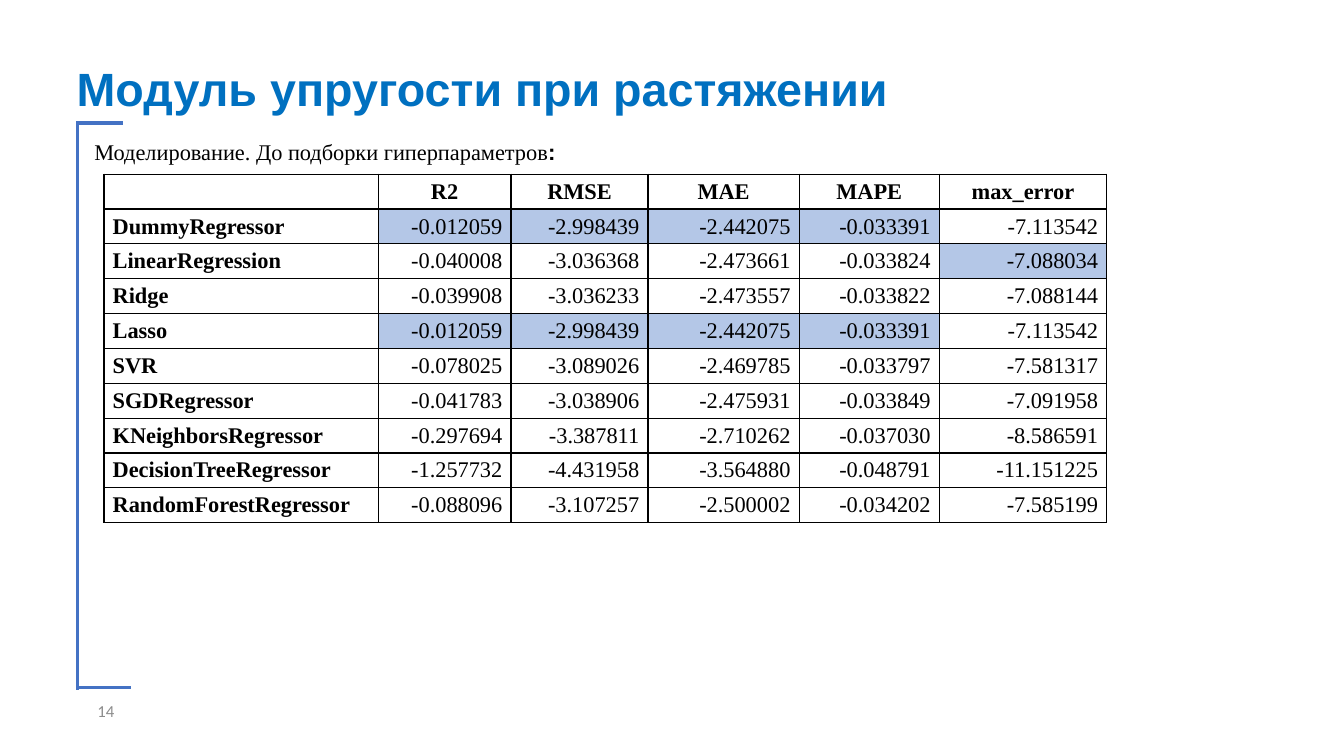
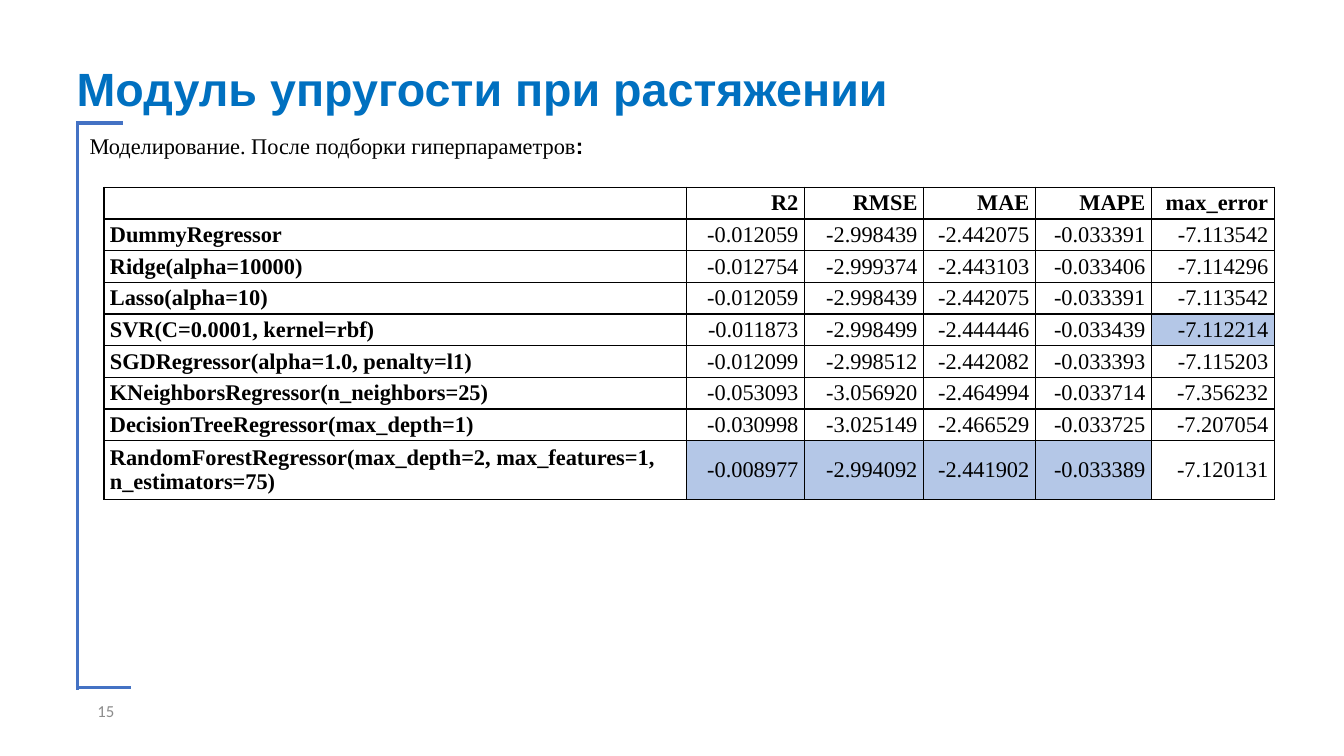
from dataclasses import dataclass

from lxml.etree import SubElement
from pptx import Presentation
from pptx.dml.color import RGBColor as Rgb
from pptx.enum.shapes import MSO_CONNECTOR as Connector
from pptx.enum.text import MSO_ANCHOR as Anchor, MSO_AUTO_SIZE as AutoSize, PP_ALIGN as Align
from pptx.oxml.ns import qn
from pptx.util import Cm, Pt


@dataclass(frozen=True)
class Theme:
    title_color: Rgb = Rgb(0x00, 0x70, 0xC0)
    text_color: Rgb = Rgb(0x00, 0x00, 0x00)
    number_color: Rgb = Rgb(0x8C, 0x8C, 0x8C)
    bracket_color: Rgb = Rgb(0x44, 0x72, 0xC4)
    cell_color: Rgb = Rgb(0xFF, 0xFF, 0xFF)
    best_color: Rgb = Rgb(0xB4, 0xC7, 0xE7)
    title_size: float = 33.3
    text_size: float = 16
    number_size: float = 12
    bracket_width: float = 2.25
    border_width: float = 1
    title_font: str = "Arial"
    text_font: str = "Times New Roman"
    number_font: str = "Calibri"


@dataclass(frozen=True)
class Box:
    """A region of the slide in centimetres."""
    left: float
    top: float
    width: float
    height: float

    def place(self, shape):
        shape.left, shape.top = Cm(self.left), Cm(self.top)
        shape.width, shape.height = Cm(self.width), Cm(self.height)


@dataclass(frozen=True)
class TableStyle:
    columns: tuple
    row_height: float
    margins: tuple
    header_align: Align


THEME = Theme()
TITLE = "Модуль упругости при растяжении"
TITLE_BOX = Box(1.73, 1.32, 21.92, 1.73)
BRACKET_BOX = Box(1.96, 3.05, 1.35, 14.35)
NUMBER_BOX = Box(1.45, 17.4, 1.68, 1.02)
METRICS = ("", "R2", "RMSE", "MAE", "MAPE", "max_error")

BEFORE_TUNING = (
    ("DummyRegressor", "-0.012059", "-2.998439", "-2.442075", "-0.033391", "-7.113542"),
    ("LinearRegression", "-0.040008", "-3.036368", "-2.473661", "-0.033824", "-7.088034"),
    ("Ridge", "-0.039908", "-3.036233", "-2.473557", "-0.033822", "-7.088144"),
    ("Lasso", "-0.012059", "-2.998439", "-2.442075", "-0.033391", "-7.113542"),
    ("SVR", "-0.078025", "-3.089026", "-2.469785", "-0.033797", "-7.581317"),
    ("SGDRegressor", "-0.041783", "-3.038906", "-2.475931", "-0.033849", "-7.091958"),
    ("KNeighborsRegressor", "-0.297694", "-3.387811", "-2.710262", "-0.037030", "-8.586591"),
    ("DecisionTreeRegressor", "-1.257732", "-4.431958", "-3.564880", "-0.048791", "-11.151225"),
    ("RandomForestRegressor", "-0.088096", "-3.107257", "-2.500002", "-0.034202", "-7.585199"),
)
AFTER_TUNING = (
    ("DummyRegressor", "-0.012059", "-2.998439", "-2.442075", "-0.033391", "-7.113542"),
    ("Ridge(alpha=10000)", "-0.012754", "-2.999374", "-2.443103", "-0.033406", "-7.114296"),
    ("Lasso(alpha=10)", "-0.012059", "-2.998439", "-2.442075", "-0.033391", "-7.113542"),
    ("SVR(C=0.0001, kernel=rbf)",
     "-0.011873", "-2.998499", "-2.444446", "-0.033439", "-7.112214"),
    ("SGDRegressor(alpha=1.0, penalty=l1)",
     "-0.012099", "-2.998512", "-2.442082", "-0.033393", "-7.115203"),
    ("KNeighborsRegressor(n_neighbors=25)",
     "-0.053093", "-3.056920", "-2.464994", "-0.033714", "-7.356232"),
    ("DecisionTreeRegressor(max_depth=1)",
     "-0.030998", "-3.025149", "-2.466529", "-0.033725", "-7.207054"),
    ("RandomForestRegressor(max_depth=2, max_features=1, n_estimators=75)",
     "-0.008977", "-2.994092", "-2.441902", "-0.033389", "-7.120131"),
)
WIDE_STYLE = TableStyle((6.91, 3.35, 3.45, 3.81, 3.53, 4.22), 0.86, (0.22, 0.1), Align.CENTER)
TIGHT_STYLE = TableStyle((14.68, 2.97, 3, 2.82, 2.92, 3.1), 0.78, (0.15, 0.06), Align.RIGHT)


def add_span(para, text, font, size, color, bold=False):
    span = para.add_run()
    span.text = text
    span.font.name = font
    span.font.size = Pt(size)
    span.font.bold = bold
    span.font.color.rgb = color


def prepare_frame(frame, anchor):
    """Fix the size, wrapping and margins of a placeholder; return its first paragraph."""
    frame.word_wrap = True
    frame.auto_size = AutoSize.NONE
    frame.vertical_anchor = anchor
    frame.margin_left = frame.margin_right = Cm(0.2)
    frame.margin_top = frame.margin_bottom = Cm(0.1)
    para = frame.paragraphs[0]
    para.alignment = Align.LEFT
    para.line_spacing = 0.9
    return para


def fill_title(page, box):
    title = page.shapes.title
    box.place(title)
    para = prepare_frame(title.text_frame, Anchor.BOTTOM)
    add_span(para, TITLE, THEME.title_font, THEME.title_size, THEME.title_color, True)


def fill_caption(page, box, caption):
    body = page.placeholders[1]
    box.place(body)
    para = prepare_frame(body.text_frame, Anchor.TOP)
    para.space_before = Pt(8.4)
    properties = para._p.get_or_add_pPr()
    properties.set("marL", "0")
    properties.set("indent", "0")
    SubElement(properties, qn("a:buNone"))
    add_span(para, caption, THEME.text_font, THEME.text_size, THEME.text_color)
    add_span(para, ":", THEME.title_font, THEME.text_size, THEME.text_color, True)


def add_bracket(page, box):
    upper, lower = box.top + 0.05, box.top + box.height - 0.08
    lines = (
        (box.left, box.top, box.left, box.top + box.height),
        (box.left, upper, box.left + 1.15, upper),
        (box.left, lower, box.left + box.width, lower),
    )
    for ends in lines:
        line = page.shapes.add_connector(Connector.STRAIGHT, *map(Cm, ends))
        line.line.color.rgb = THEME.bracket_color
        line.line.width = Pt(THEME.bracket_width)
        SubElement(line._element.spPr, qn("a:effectLst"))


def add_number(page, box, number):
    field = page.shapes.add_textbox(0, 0, 0, 0)
    box.place(field)
    frame = field.text_frame
    frame.word_wrap = True
    frame.vertical_anchor = Anchor.MIDDLE
    para = frame.paragraphs[0]
    para.alignment = Align.RIGHT
    add_span(para, str(number), THEME.number_font, THEME.number_size, THEME.number_color)


def add_borders(cell):
    properties = cell._tc.get_or_add_tcPr()
    for side in ("lnL", "lnR", "lnT", "lnB"):
        border = SubElement(properties, qn(f"a:{side}"), w=str(Pt(THEME.border_width)))
        fill = SubElement(border, qn("a:solidFill"))
        SubElement(fill, qn("a:srgbClr"), val=str(THEME.text_color))


def fill_cell(cell, text, style, align, bold, color):
    add_borders(cell)
    cell.fill.solid()
    cell.fill.fore_color.rgb = color
    cell.vertical_anchor = Anchor.MIDDLE
    side, edge = map(Cm, style.margins)
    cell.margin_left = cell.margin_right = side
    cell.margin_top = cell.margin_bottom = edge
    para = cell.text_frame.paragraphs[0]
    para.alignment = align
    if text:
        add_span(para, text, THEME.text_font, THEME.text_size, THEME.text_color, bold)
    else:
        SubElement(para._p, qn("a:endParaRPr"), sz=str(int(THEME.text_size * 100)))


def add_scores(page, left, top, models, style):
    """Add the table of scores, marking the highest value of each metric."""
    rows = (METRICS, *models)
    height = style.row_height * len(rows)
    frame = page.shapes.add_table(len(rows), len(METRICS), Cm(left), Cm(top),
                                  Cm(sum(style.columns)), Cm(height))
    table = frame.table
    table.first_row = table.horz_banding = False
    for column, width in zip(table.columns, style.columns):
        column.width = Cm(width)
    for row in table.rows:
        row.height = Cm(style.row_height)
    best = [None] + [max(map(float, scores)) for scores in list(zip(*models))[1:]]
    for r, row in enumerate(rows):
        for c, text in enumerate(row):
            is_score = r > 0 and c > 0
            is_best = is_score and float(text) == best[c]
            align = Align.LEFT if c == 0 else Align.RIGHT if r else style.header_align
            color = THEME.best_color if is_best else THEME.cell_color
            fill_cell(table.cell(r, c), text, style, align, not is_score, color)


def add_page(deck, number, caption, caption_box, table_top, models, style):
    page = deck.slides.add_slide(deck.slide_layouts[1])
    fill_title(page, TITLE_BOX)
    fill_caption(page, caption_box, caption)
    add_bracket(page, BRACKET_BOX)
    add_number(page, NUMBER_BOX, number)
    add_scores(page, 2.62, table_top, models, style)


def main():
    deck = Presentation()
    deck.slide_width, deck.slide_height = Cm(33.87), Cm(19.05)
    add_page(deck, 14, "Моделирование. До подборки гиперпараметров",
             Box(2.18, 3.45, 21.49, 10.29), 4.39, BEFORE_TUNING, WIDE_STYLE)
    add_page(deck, 15, "Моделирование. После подборки гиперпараметров",
             Box(2.06, 3.3, 21.49, 10.29), 4.72, AFTER_TUNING, TIGHT_STYLE)
    deck.save("out.pptx")


if __name__ == "__main__":
    main()
